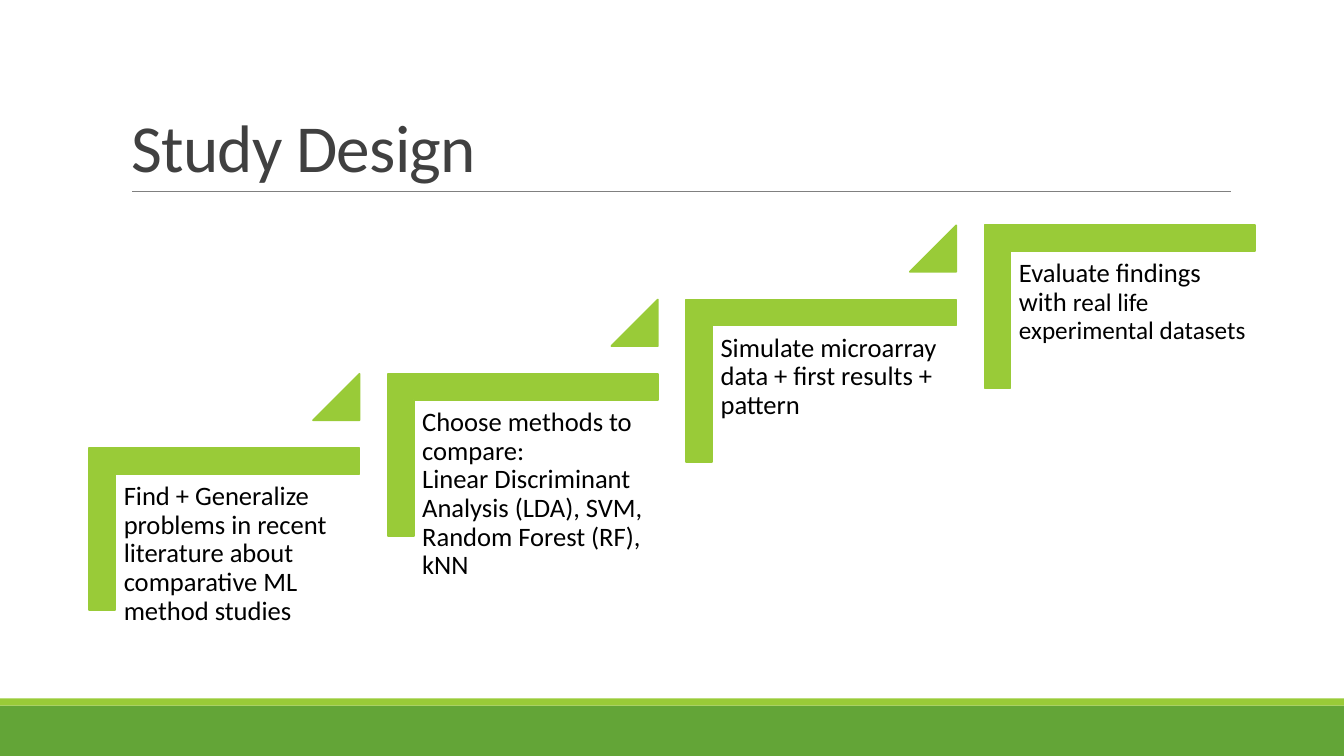
from dataclasses import dataclass

from lxml.etree import SubElement
from pptx import Presentation
from pptx.dml.color import RGBColor
from pptx.enum.shapes import MSO_CONNECTOR, MSO_SHAPE
from pptx.enum.text import MSO_ANCHOR, MSO_AUTO_SIZE, PP_ALIGN
from pptx.oxml.ns import qn
from pptx.util import Cm, Pt


@dataclass(frozen=True)
class Theme:
    font: str = "Calibri"
    band: RGBColor = RGBColor(0x63, 0xA5, 0x37)
    accent: RGBColor = RGBColor(0x99, 0xCB, 0x38)
    rule: RGBColor = RGBColor(0x80, 0x80, 0x80)
    heading: RGBColor = RGBColor(0x40, 0x40, 0x40)
    body: RGBColor = RGBColor(0, 0, 0)
    heading_size: Pt = Pt(48)
    step_size: Pt = Pt(19)
    detail_size: Pt = Pt(18)
    outline: Pt = Pt(1.25)


@dataclass(frozen=True)
class Box:
    left: float
    top: float
    width: float
    height: float

    def lengths(self):
        return Cm(self.left), Cm(self.top), Cm(self.width), Cm(self.height)


THEME = Theme()
SLIDE = Box(0, 0, 33.87, 19.05)
HEADING = Box(3.05, 0.79, 27.94, 4.04)
FIRST_STEP = Box(2.25, 11.29, 6.81, 4.09)
STEP_PITCH = 7.52
STEP_RISE = 1.87
STEPS = [
    ("Find + Generalize problems in recent literature about "
     "comparative ML method studies", ""),
    ("Choose methods to compare:\vLinear Discriminant Analysis (LDA), SVM,"
     "\vRandom Forest (RF), kNN", ""),
    ("Simulate microarray data + first results + pattern", ""),
    ("Evaluate findings with ", "real life experimental datasets"),
]


def add_filled(slide, preset, box, color, outlined=False):
    shape = slide.shapes.add_shape(preset, *box.lengths())
    shape.shadow.inherit = False
    shape.fill.solid()
    shape.fill.fore_color.rgb = color
    if outlined:
        shape.line.color.rgb = color
        shape.line.width = THEME.outline
    else:
        shape.line.fill.background()
    return shape


def style_font(font, size, color):
    font.name = THEME.font
    font.size = size
    font.color.rgb = color


def add_footer_band(slide, box):
    band_height, strip_height = 1.27, 0.18
    band_top = box.top + box.height - band_height
    band = Box(box.left, band_top, box.width, band_height)
    strip = Box(box.left, band_top - strip_height, box.width, strip_height)
    add_filled(slide, MSO_SHAPE.RECTANGLE, band, THEME.band)
    add_filled(slide, MSO_SHAPE.RECTANGLE, strip, THEME.accent)


def add_heading(slide, box, wording):
    rule_left, rule_top = box.left + 0.28, box.top + box.height
    rule = slide.shapes.add_connector(
        MSO_CONNECTOR.STRAIGHT, Cm(rule_left), Cm(rule_top),
        Cm(rule_left + 27.68), Cm(rule_top))
    rule.line.color.rgb = THEME.rule
    rule.line.width = Pt(0.5)
    SubElement(rule._element.spPr, qn("a:effectLst"))

    heading = slide.shapes.title
    heading.left, heading.top, heading.width, heading.height = box.lengths()
    frame = heading.text_frame
    frame.text = wording
    frame.word_wrap = True
    frame.auto_size = MSO_AUTO_SIZE.NONE
    frame.vertical_anchor = MSO_ANCHOR.BOTTOM
    paragraph = frame.paragraphs[0]
    paragraph.alignment = PP_ALIGN.LEFT
    paragraph.line_spacing = 0.85
    style_font(paragraph.font, THEME.heading_size, THEME.heading)
    paragraph.runs[0]._r.get_or_add_rPr().set("spc", "-50")


def add_bracket(slide, box):
    upright = Box(box.left + (box.width - box.height) / 2,
                  box.top + (box.height - box.width) / 2,
                  box.height, box.width)
    bracket = add_filled(slide, MSO_SHAPE.CORNER, upright, THEME.accent, True)
    bracket.rotation = 90
    bracket.adjustments[0] = bracket.adjustments[1] = 0.16


def add_step_text(slide, box, wording, detail):
    frame = slide.shapes.add_textbox(*box.lengths()).text_frame
    frame.word_wrap = True
    frame.margin_left = frame.margin_right = Cm(0.2)
    frame.margin_top = frame.margin_bottom = Cm(0.2)
    paragraph = frame.paragraphs[0]
    paragraph.text = wording
    paragraph.line_spacing = 0.9
    style_font(paragraph.font, THEME.step_size, THEME.body)
    if detail:
        detail_run = paragraph.add_run()
        detail_run.text = detail
        detail_run.font.size = THEME.detail_size


def add_rise_marker(slide, box):
    side = 1.17
    corner = Box(box.left + box.width - side, box.top - STEP_RISE, side, side)
    marker = add_filled(slide, MSO_SHAPE.ISOSCELES_TRIANGLE, corner,
                        THEME.accent, True)
    marker.adjustments[0] = 1


def add_staircase(slide, first, steps):
    for index, (wording, detail) in enumerate(steps):
        step = Box(first.left + index * STEP_PITCH,
                   first.top - index * STEP_RISE, first.width, first.height)
        add_bracket(slide, step)
        text_area = Box(step.left + 0.67, step.top + 0.67, 6.15, 5.38)
        add_step_text(slide, text_area, wording, detail)
        if index < len(steps) - 1:
            add_rise_marker(slide, step)


def main():
    presentation = Presentation()
    presentation.slide_width = Cm(SLIDE.width)
    presentation.slide_height = Cm(SLIDE.height)
    slide = presentation.slides.add_slide(presentation.slide_layouts[5])
    add_footer_band(slide, SLIDE)
    add_heading(slide, HEADING, "Study Design")
    add_staircase(slide, FIRST_STEP, STEPS)
    presentation.save("out.pptx")


if __name__ == "__main__":
    main()
